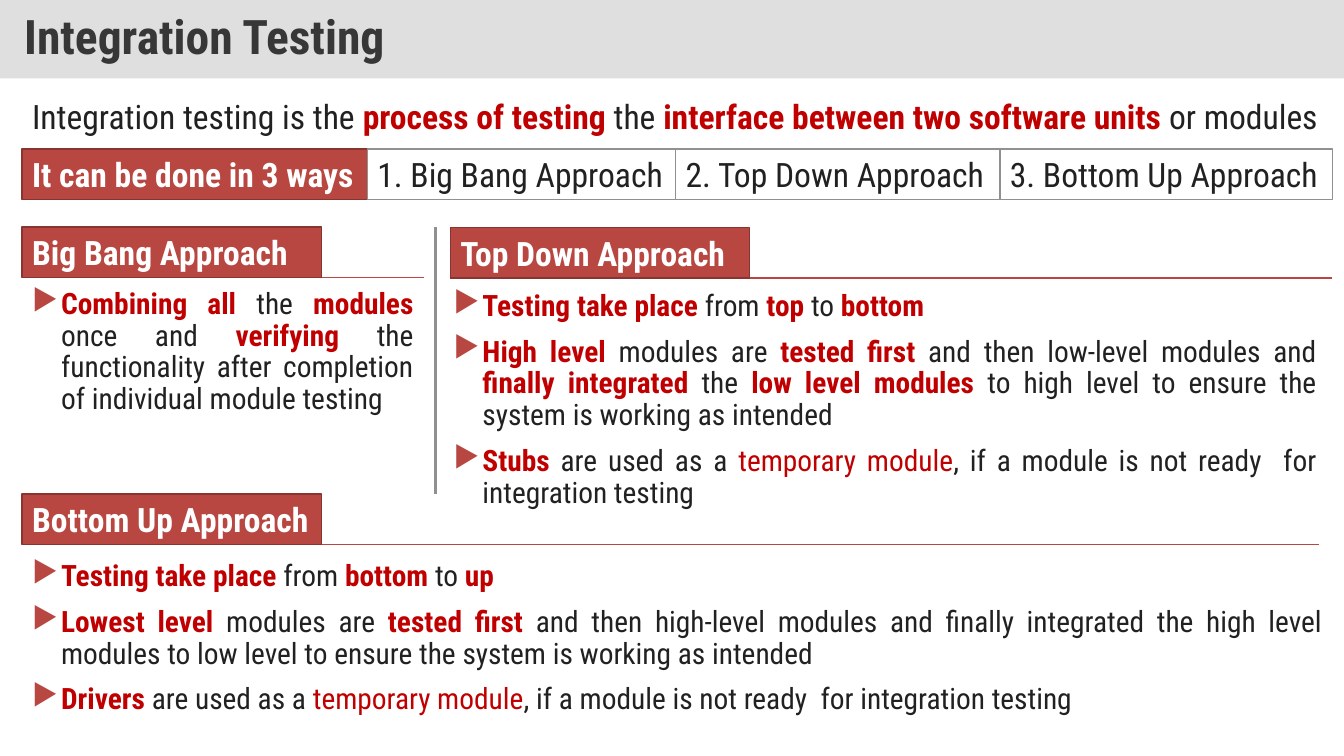
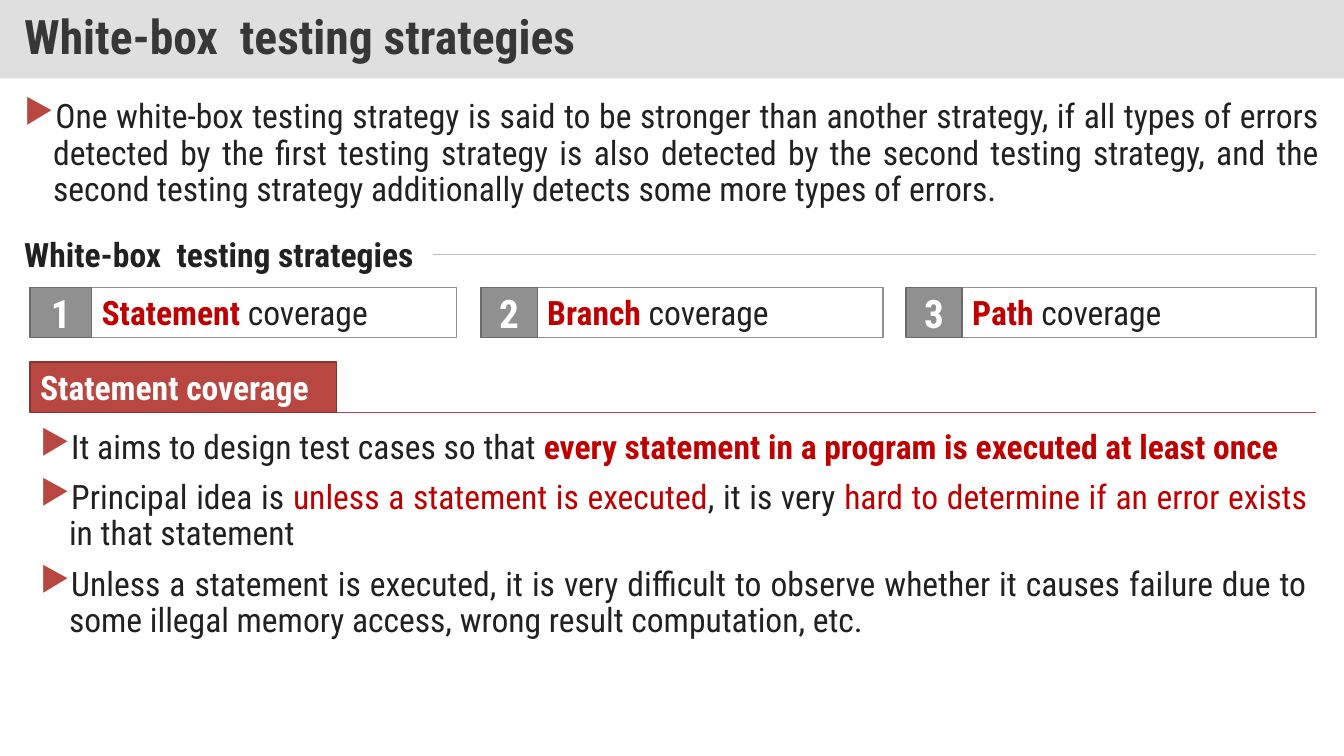
"""Builds two slides on integration testing and white-box testing strategies."""
from itertools import pairwise

from lxml import etree
from pptx import Presentation, util as u
from pptx.dml import color
from pptx.enum import shapes as s, text as t
from pptx.oxml import ns

FONT = "Roboto Condensed"
INK, RED, WHITE, GREY = "212121", "C00000", "FFFFFF", "909090"
BRICK, BRICK_EDGE, GREY_EDGE = "B84742", "883531", "6B6B6B"
ROW = 1.27


def rgb(value):
    """Turn a hex string into a colour."""
    return color.RGBColor.from_string(value)


def apply(target, values):
    """Set every attribute in a dict of format values."""
    for name, value in values.items():
        setattr(target, name, value)


def child(parent, tag, **attributes):
    """Append a DrawingML element."""
    return etree.SubElement(parent, ns.qn(tag), attributes)


def styled_runs(markup, ink, bold):
    """Yield text, colour and weight: *bold red*, ~red~, the rest plain."""
    for strong, part in enumerate(markup.split("*")):
        for marked, piece in enumerate(part.split("~")):
            if piece:
                yield (piece, RED if strong % 2 or marked % 2 else ink,
                       bold or bool(strong % 2))


class Deck:
    """Hold the shared style and the current slide."""

    def __init__(self):
        """Start an empty wide presentation."""
        self.presentation = Presentation()
        apply(self.presentation, {"slide_width": u.Cm(33.87), "slide_height": u.Cm(19.05)})
        self.slide = None

    def new_slide(self, title):
        """Add a slide with its title band."""
        self.slide = self.presentation.slides.add_slide(self.presentation.slide_layouts[6])
        band = self.box(title, 0, 0, 33.87, 1.98, fill="C0C0C0", ink="373737", bold=True, size=34)
        fill_color = band._element.spPr.find(ns.qn("a:solidFill"))[0]
        child(fill_color, "a:alpha", val="50000")
        apply(band.text_frame, {"margin_left": u.Cm(0.61), "margin_right": u.Cm(0.61)})
        band.text_frame.paragraphs[0].line_spacing = 0.9

    def add_runs(self, paragraph, markup, size, ink=INK, bold=False):
        """Fill a paragraph with styled runs."""
        for piece, run_ink, run_bold in styled_runs(markup, ink, bold):
            run = paragraph.add_run()
            run.text = piece
            apply(run.font, {"name": FONT, "size": u.Pt(size), "bold": run_bold})
            run.font.color.rgb = rgb(run_ink)

    def box(self, markup, left, top, width, height=ROW, fill=WHITE, edge=None, ink=INK,
            bold=False, size=24, align=t.PP_ALIGN.LEFT, wrap=True, group=None):
        """Add a filled rectangle holding one line of text."""
        shapes = (group or self.slide).shapes
        shape = shapes.add_shape(s.MSO_SHAPE.RECTANGLE, *map(u.Cm, (left, top, width, height)))
        shape.shadow.inherit = False
        shape.fill.solid()
        shape.fill.fore_color.rgb = rgb(fill)
        if edge:
            shape.line.color.rgb = rgb(edge)
            shape.line.width = u.Pt(1)
        else:
            shape.line.fill.background()
        apply(shape.text_frame, {"word_wrap": wrap, "vertical_anchor": t.MSO_ANCHOR.MIDDLE})
        paragraph = shape.text_frame.paragraphs[0]
        paragraph.alignment = align
        self.add_runs(paragraph, markup, size, ink, bold)
        return shape

    def text(self, markup, left, top, width, height=ROW, bold=False):
        """Add a plain line of text."""
        shape = self.slide.shapes.add_textbox(*map(u.Cm, (left, top, width, height)))
        shape.text_frame.word_wrap = True
        self.add_runs(shape.text_frame.paragraphs[0], markup, 24, bold=bold)

    def bullets(self, items, left, top, width, height, size=21):
        """Add justified paragraphs with triangle bullets."""
        shape = self.slide.shapes.add_textbox(*map(u.Cm, (left, top, width, height)))
        frame = shape.text_frame
        frame.word_wrap = True
        for index, markup in enumerate(items):
            paragraph = frame.add_paragraph() if index else frame.paragraphs[0]
            properties = paragraph._p.get_or_add_pPr()
            indent = u.Cm(0.73)
            properties.set("marL", str(indent))
            properties.set("indent", str(-indent))
            child(child(properties, "a:buClr"), "a:srgbClr", val=BRICK)
            child(properties, "a:buChar", char="▶")
            apply(paragraph, {"alignment": t.PP_ALIGN.JUSTIFY, "line_spacing": 0.9})
            if index:
                paragraph.space_before = u.Pt(10)
            self.add_runs(paragraph, markup, size)

    def line(self, x1, y1, x2, y2, ink, width=1):
        """Add a straight line without shadow."""
        connector = self.slide.shapes.add_connector(
            s.MSO_CONNECTOR.STRAIGHT, *map(u.Cm, (x1, y1, x2, y2)))
        connector.line.color.rgb = rgb(ink)
        connector.line.width = u.Pt(width)
        child(connector._element.spPr, "a:effectLst")

    def heading(self, title, left, top, right, width=7.54):
        """Add a section tag standing on a rule."""
        self.line(left, top + ROW, right, top + ROW, BRICK)
        self.box(title, left, top, width, fill=BRICK, edge=BRICK_EDGE, ink=WHITE, bold=True)

    def numbered(self, number, markup, left, top, right, tab):
        """Add a grouped number tab and label."""
        group = self.slide.shapes.add_group_shape()
        self.box(markup, left + tab, top, right - left - tab, edge=GREY, group=group)
        self.box(str(number), left, top, tab, fill=GREY, edge=GREY_EDGE, ink=WHITE,
                 bold=True, size=28, align=t.PP_ALIGN.CENTER, group=group)


def integration_testing(deck):
    """Build the integration testing slide."""
    deck.new_slide("Integration Testing")
    deck.text("Integration testing is the *process of testing *the "
              "*interface between two software units* or modules", 0.56, 2.29, 33.02)
    ways = ["It can be done in 3 ways", "1. Big Bang Approach",
            "2. Top Down Approach", "3. Bottom Up Approach"]
    edges = [0.56, 9.26, 17.03, 25.2, 33.58]
    lead = {"fill": BRICK, "edge": BRICK_EDGE, "ink": WHITE, "bold": True}
    for index, (way, (left, right)) in enumerate(zip(ways, pairwise(edges))):
        style = {"edge": GREY} if index else lead
        deck.box(way, left, 3.76, right - left, wrap=False, **style)

    deck.heading("Big Bang Approach", 0.56, 5.72, 10.69)
    deck.bullets(["*Combining all *the *modules *once and *verifying* the functionality "
                  "after completion of individual module testing"], 0.56, 7.16, 10.11, 3.96)
    deck.line(10.97, 5.72, 10.97, 12.45, GREY, 2.25)
    deck.heading("Top Down Approach", 11.35, 5.74, 33.58)
    deck.bullets([
        "*Testing take place *from *top *to *bottom*",
        "*High level *modules are *tested first *and then low-level modules and "
        "*finally integrated* the *low level modules *to high level to ensure the "
        "system is working as intended",
        "*Stubs *are used as a ~temporary module~, if a module is not ready  for "
        "integration testing"], 11.18, 7.21, 22.25, 6.05)
    deck.heading("Bottom Up Approach", 0.56, 12.45, 33.25)
    deck.bullets([
        "*Testing take place *from *bottom *to *up*",
        "*Lowest level* modules are *tested first *and then high-level modules and "
        "finally integrated the high level modules to low level to ensure the system "
        "is working as intended",
        "*Drivers* are used as a ~temporary module~, if a module is not ready  for "
        "integration testing"], 0.56, 14.02, 33.02, 4.24)


def white_box_testing(deck):
    """Build the white-box testing slide."""
    title = "White-box  testing strategies"
    right_edge = 33.17
    deck.new_slide(title)
    deck.bullets(["One white-box testing strategy is said to be stronger than another "
                  "strategy, if all types of errors detected by the first testing strategy "
                  "is also detected by the second testing strategy, and the second testing "
                  "strategy additionally detects some more types of errors."],
                 0.36, 2.39, 33.15, 3.38, size=24)
    deck.text(title, 0.36, 5.77, 10.57, bold=True)
    deck.line(10.92, 6.4, right_edge, 6.4, "BFBFBF", 0.5)
    strategies = [("Statement", 0.76, 11.51, 1.55), ("Branch", 12.12, 22.25, 1.42),
                  ("Path", 22.83, right_edge, 1.42)]
    for number, (name, left, right, tab) in enumerate(strategies, 1):
        deck.numbered(number, f"*{name}* coverage", left, 7.24, right, tab)
    deck.heading("Statement coverage", 0.76, 9.12, right_edge, 7.72)
    deck.bullets([
        "It aims to design test cases so that "
        "*every statement in a program is executed at least once*",
        "Principal idea is ~unless a statement is executed~, it is very "
        "~hard to determine if an error exists~ in that statement",
        "Unless a statement is executed, it is very difficult to observe whether it causes "
        "failure due to some illegal memory access, wrong result computation, etc."],
        0.76, 10.72, 32.44, 5.77, size=24)


def main():
    """Build and save the presentation."""
    deck = Deck()
    integration_testing(deck)
    white_box_testing(deck)
    deck.presentation.save("out.pptx")


if __name__ == "__main__":
    main()
